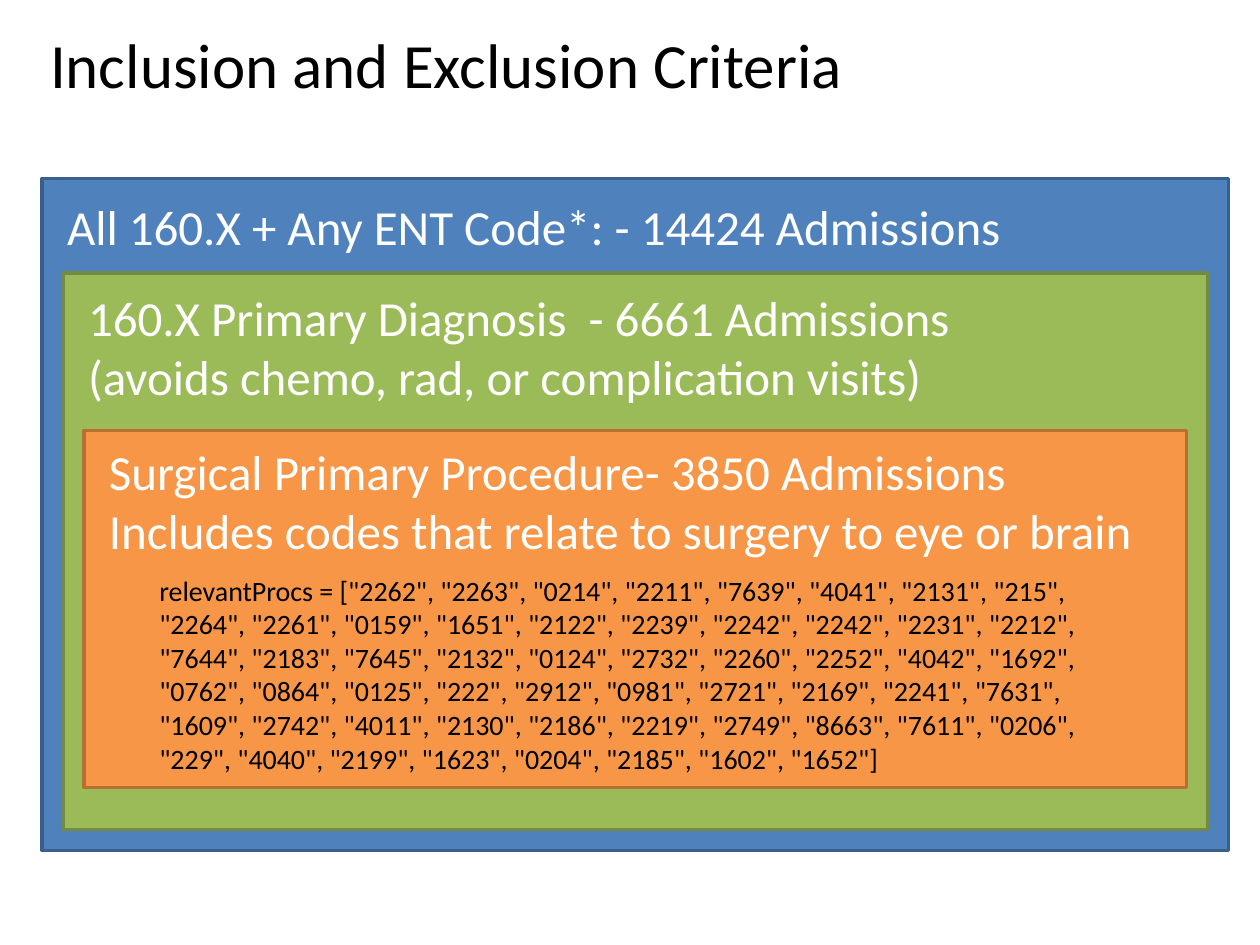
import pptx
import pptx.util
import pptx.dml.color
import pptx.enum.shapes
import pptx.enum.text

RGBColor = pptx.dml.color.RGBColor
BLACK, WHITE = RGBColor(0, 0, 0), RGBColor(255, 255, 255)
BLUE, BLUE_EDGE = RGBColor(0x4F, 0x81, 0xBD), RGBColor(0x3A, 0x5F, 0x8C)
GREEN, GREEN_EDGE = RGBColor(0x9B, 0xBB, 0x59), RGBColor(0x73, 0x8A, 0x42)
ORANGE, ORANGE_EDGE = RGBColor(0xF7, 0x96, 0x46), RGBColor(0xB7, 0x6F, 0x34)

deck = pptx.Presentation()
deck.slide_width = pptx.util.Inches(10)
deck.slide_height = pptx.util.Inches(7.5)
CELL = deck.slide_width // 120  # grid of 120 columns by 90 rows


def write(frame, lines, size=28, color=WHITE, align=pptx.enum.text.PP_ALIGN.LEFT,
          anchor=pptx.enum.text.MSO_ANCHOR.TOP):
    """Fill a text frame with one paragraph per line."""
    frame.word_wrap = True
    frame.vertical_anchor = anchor
    frame.text = "\n".join(lines)
    for paragraph in frame.paragraphs:
        paragraph.alignment = align
        font = paragraph.runs[0].font
        font.name, font.size = "Calibri", pptx.util.Pt(size)
        font.color.rgb = color


slide = deck.slides.add_slide(deck.slide_layouts[5])
title = slide.shapes.title
title.left, title.top, title.width, title.height = 0, 0, 85 * CELL, 12 * CELL
write(title.text_frame, ["Inclusion and Exclusion Criteria"], size=36, color=BLACK,
      align=pptx.enum.text.PP_ALIGN.CENTER, anchor=pptx.enum.text.MSO_ANCHOR.MIDDLE)

# Each criterion narrows the one around it: top row, bottom row, text offset in rows
criteria = [
    (17, 81, 1.1, BLUE, BLUE_EDGE, ["All 160.X + Any ENT Code*: - 14424 Admissions"]),
    (26, 79, 0.8, GREEN, GREEN_EDGE, ["160.X Primary Diagnosis  - 6661 Admissions",
                                      "(avoids chemo, rad, or complication visits)"]),
    (41, 75, 0.5, ORANGE, ORANGE_EDGE, ["Surgical Primary Procedure- 3850 Admissions",
                                        "Includes codes that relate to surgery to eye or brain"]),
]
for level, (top, bottom, offset, fill, edge, lines) in enumerate(criteria):
    left, right = 4 + 2 * level, 117 - 2 * level
    criterion = slide.shapes.add_shape(
        pptx.enum.shapes.MSO_SHAPE.RECTANGLE,
        left * CELL, top * CELL, (right - left) * CELL, (bottom - top) * CELL)
    criterion.shadow.inherit = False
    criterion.fill.solid()
    criterion.fill.fore_color.rgb = fill
    criterion.line.color.rgb = edge
    criterion.line.width = pptx.util.Pt(2)
    label = slide.shapes.add_textbox(
        int((left + 1.2) * CELL), int((top + offset) * CELL),
        (right - left - 3) * CELL, 13 * CELL)
    write(label.text_frame, lines)

procedure_codes = """
    2262 2263 0214 2211 7639 4041 2131 215 2264 2261 0159 1651 2122 2239 2242 2242 2231 2212
    7644 2183 7645 2132 0124 2732 2260 2252 4042 1692 0762 0864 0125 222 2912 0981 2721 2169
    2241 7631 1609 2742 4011 2130 2186 2219 2749 8663 7611 0206 229 4040 2199 1623 0204 2185
    1602 1652""".split()
quoted_codes = ", ".join(f'"{code}"' for code in procedure_codes)
procedures = slide.shapes.add_textbox(14 * CELL, 54 * CELL, 91 * CELL, int(20.6 * CELL))
write(procedures.text_frame, [f"relevantProcs = [{quoted_codes}]"], size=16, color=BLACK)

deck.save("out.pptx")
